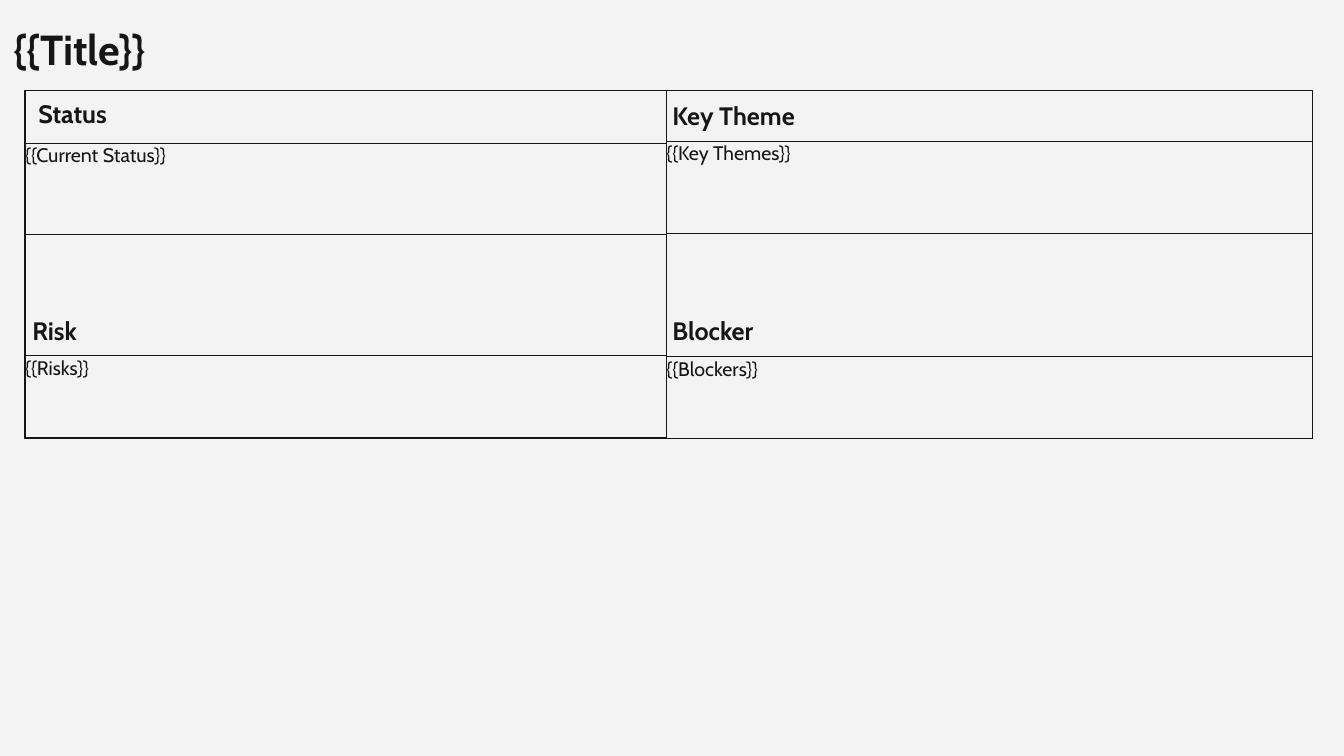
import pptx
import pptx.util
import pptx.dml.color
import pptx.enum.shapes
import pptx.enum.text
from dataclasses import dataclass

Inches = pptx.util.Inches
Pt = pptx.util.Pt


@dataclass(frozen=True)
class Theme:
    font: str = "Cabin"
    ink: pptx.dml.color.RGBColor = pptx.dml.color.RGBColor(0x16, 0x16, 0x16)
    paper: pptx.dml.color.RGBColor = pptx.dml.color.RGBColor(0xF3, 0xF3, 0xF3)
    title_size: int = 30
    heading_size: int = 18
    body_size: int = 14
    frame_line: float = 1
    panel_line: float = 0.75


theme = Theme()

deck = pptx.Presentation()
deck.slide_width = Inches(13.33)
deck.slide_height = Inches(7.5)
page = deck.slides.add_slide(deck.slide_layouts[6])
page.background.fill.solid()
page.background.fill.fore_color.rgb = theme.paper


def write(box, text, size, bold=False):
    frame = box.text_frame
    frame.word_wrap = True
    frame.vertical_anchor = pptx.enum.text.MSO_ANCHOR.TOP
    frame.margin_left = frame.margin_right = 0
    frame.margin_top = frame.margin_bottom = 0
    para = frame.paragraphs[0]
    para.text = text
    para.alignment = pptx.enum.text.PP_ALIGN.LEFT
    para.space_after = Pt(24)
    para.font.name = theme.font
    para.font.size = Pt(size)
    para.font.bold = bold
    para.font.color.rgb = theme.ink


def outline(left, top, width, height, weight):
    box = page.shapes.add_shape(
        pptx.enum.shapes.MSO_SHAPE.RECTANGLE,
        Inches(left), Inches(top), Inches(width), Inches(height))
    box.shadow.inherit = False
    box.fill.background()
    box.line.color.rgb = theme.ink
    box.line.width = Pt(weight)
    return box


# Title and section headings
labels = [
    ("{{Title}}", 0.13, 0.23, 5.24, 0.5, theme.title_size),
    ("Status", 0.38, 0.98, 7.53, 0.43, theme.heading_size),
    ("Key Theme", 6.67, 1, 6.66, 0.43, theme.heading_size),
    ("Risk", 0.32, 3.13, 7.78, 0.39, theme.heading_size),
    ("Blocker", 6.67, 3.13, 5.24, 0.39, theme.heading_size),
]
for text, left, top, width, height, size in labels:
    label = page.shapes.add_textbox(
        Inches(left), Inches(top), Inches(width), Inches(height))
    write(label, text, size, bold=True)

# Two columns, each a frame around two text panels
columns = [
    (0.25, 6.36, [("{{Current Status}}", 1.42, 0.91), ("{{Risks}}", 3.53, 0.81)]),
    (6.61, 6.41, [("{{Key Themes}}", 1.4, 0.92), ("{{Blockers}}", 3.54, 0.81)]),
]
for left, width, panels in columns:
    outline(left, 0.9, width, 3.45, theme.frame_line)
    for text, top, height in panels:
        panel = outline(left, top, width, height, theme.panel_line)
        write(panel, text, theme.body_size)

deck.save("out.pptx")
